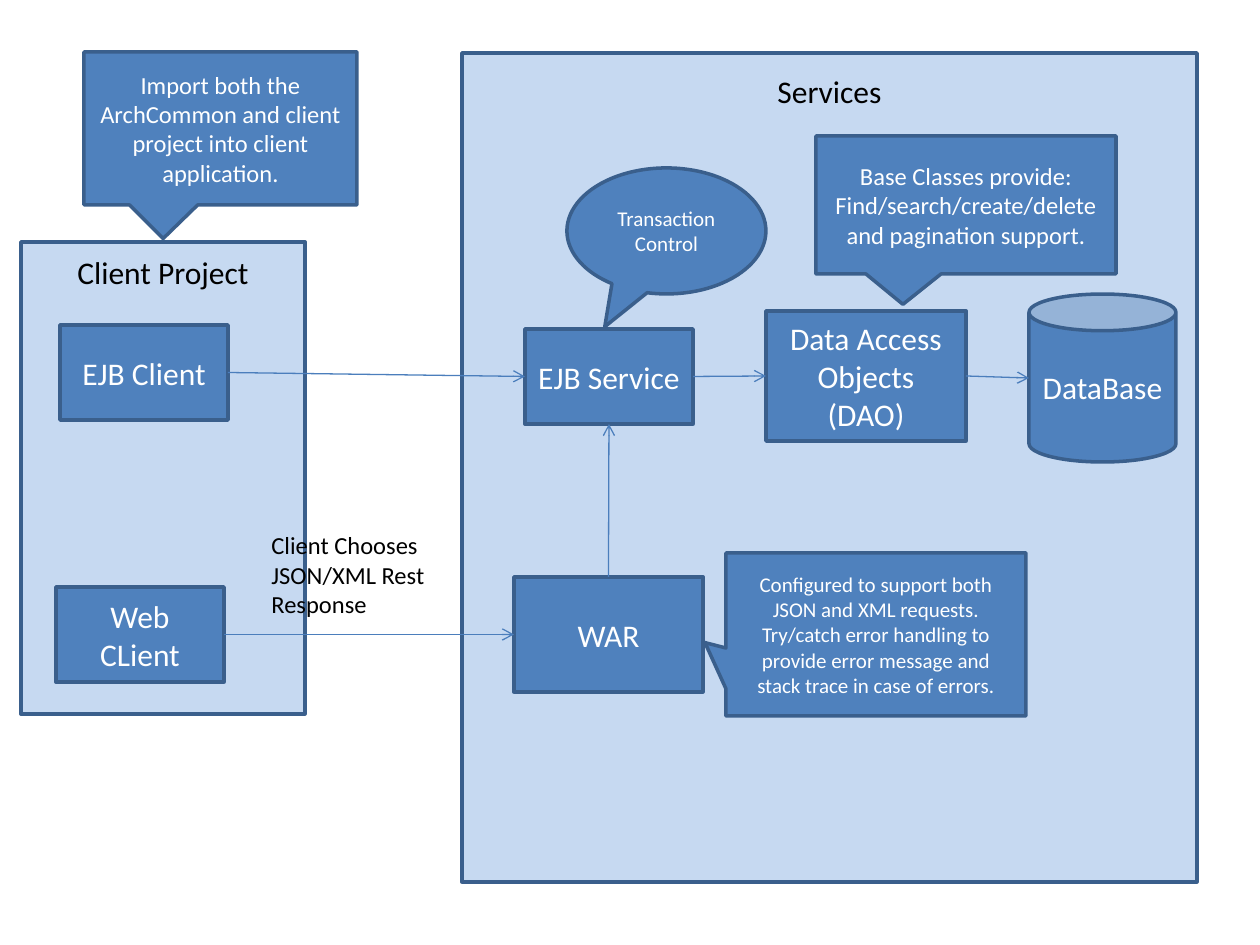
from dataclasses import dataclass
from pptx import Presentation
from pptx import util as u
from pptx.dml.color import RGBColor
from pptx.enum import shapes, text
from pptx.oxml.ns import qn
from lxml import etree

KIND = shapes.MSO_SHAPE
TOP, LEFT, BOTTOM, RIGHT = range(4)


@dataclass(frozen=True)
class Theme:
    font: str = "Calibri"
    panel: str = "C6D9F1"
    box: str = "4F81BD"
    edge: str = "3A5F8C"
    link: str = "4B7EBC"
    dark: str = "000000"
    light: str = "FFFFFF"
    large: int = 18
    medium: int = 14
    small: int = 12


class Board:
    def __init__(self, slide, theme):
        self.slide = slide
        self.theme = theme

    def px(self, value):
        return u.Emu(round(value * 914400 / 126))

    def area(self, spot):
        return [self.px(value) for value in spot]

    def letter(self, frame, words, size, color, align):
        frame.word_wrap = True
        frame.text = words
        for para in frame.paragraphs:
            para.alignment = align
            para.font.name = self.theme.font
            para.font.size = u.Pt(size)
            para.font.color.rgb = RGBColor.from_string(color)

    def shape(self, kind, spot, words, size, fill, color):
        item = self.slide.shapes.add_shape(kind, *self.area(spot))
        item.shadow.inherit = False
        item.fill.solid()
        item.fill.fore_color.rgb = RGBColor.from_string(fill)
        item.line.color.rgb = RGBColor.from_string(self.theme.edge)
        item.line.width = u.Pt(2)
        item.text_frame.vertical_anchor = text.MSO_ANCHOR.MIDDLE
        self.letter(item.text_frame, words, size, color, text.PP_ALIGN.CENTER)
        return item

    def panel(self, spot, words, inset):
        item = self.shape(KIND.RECTANGLE, spot, words, self.theme.large,
                          self.theme.panel, self.theme.dark)
        item.text_frame.vertical_anchor = text.MSO_ANCHOR.TOP
        item.text_frame.margin_top = self.px(inset)

    def box(self, spot, words, kind=KIND.RECTANGLE):
        return self.shape(kind, spot, words, self.theme.large,
                          self.theme.box, self.theme.light)

    def callout(self, spot, words, size, tip, kind=KIND.RECTANGULAR_CALLOUT):
        item = self.shape(kind, spot, words, size,
                          self.theme.box, self.theme.light)
        for index, value in enumerate(tip):
            item.adjustments[index] = value

    def label(self, spot, words, size):
        item = self.slide.shapes.add_textbox(*self.area(spot))
        self.letter(item.text_frame, words, size, self.theme.dark,
                    text.PP_ALIGN.LEFT)

    def port(self, item, side):
        across = {LEFT: 0, RIGHT: item.width}.get(side, item.width // 2)
        down = {TOP: 0, BOTTOM: item.height}.get(side, item.height // 2)
        return item.left + across, item.top + down

    def arrow(self, start, end, sides=(RIGHT, LEFT), site=None):
        first, last = sides
        line = self.slide.shapes.add_connector(
            shapes.MSO_CONNECTOR.STRAIGHT, 0, 0, 0, 0)
        line.begin_connect(start, first)
        line.end_connect(end, last if site is None else site)
        line.end_x, line.end_y = self.port(end, last)
        line.line.color.rgb = RGBColor.from_string(self.theme.link)
        line.line.width = u.Pt(0.75)
        etree.SubElement(line.get_or_add_ln(), qn("a:tailEnd"), type="arrow")
        etree.SubElement(line.element.spPr, qn("a:effectLst"))


def main():
    deck = Presentation()
    deck.slide_width, deck.slide_height = u.Inches(10), u.Inches(7.5)
    theme = Theme()
    board = Board(deck.slides.add_slide(deck.slide_layouts[6]), theme)

    board.panel((21, 242, 284, 472), "Client Project", 11)
    board.panel((462, 53, 735, 829), "Services", 19)

    client = board.box((60, 325, 168, 95), "EJB Client")
    web = board.box((56, 587, 168, 95), "Web CLient")
    war = board.box((514, 577, 189, 115), "WAR")
    service = board.box((525, 329, 168, 95), "EJB Service")
    dao = board.box((766, 311, 200, 130), "Data Access Objects (DAO)")
    base = board.box((1029, 294, 147, 168), "DataBase", KIND.CAN)

    board.arrow(client, service)
    board.arrow(web, war)
    board.arrow(war, service, (TOP, BOTTOM))
    board.arrow(service, dao)
    board.arrow(dao, base, site=2)

    board.label((259, 524, 221, 102),
                "Client Chooses JSON/XML Rest Response", theme.medium)

    board.callout((567, 168, 199, 126), "Transaction Control", theme.small,
                  (-0.31, 0.76), KIND.OVAL_CALLOUT)
    board.callout((816, 136, 300, 138),
                  "Base Classes provide:\n"
                  "Find/search/create/delete and pagination support.",
                  theme.medium, (-0.21, 0.72))
    board.callout((84, 52, 273, 153),
                  "Import both the ArchCommon and client project "
                  "into client application.",
                  theme.medium, (-0.21, 0.72))
    board.callout((726, 553, 300, 163),
                  "Configured to support both JSON and XML requests.\n"
                  "Try/catch error handling to provide error message "
                  "and stack trace in case of errors.",
                  theme.small, (-0.57, 0.05))

    deck.save("out.pptx")


main()
